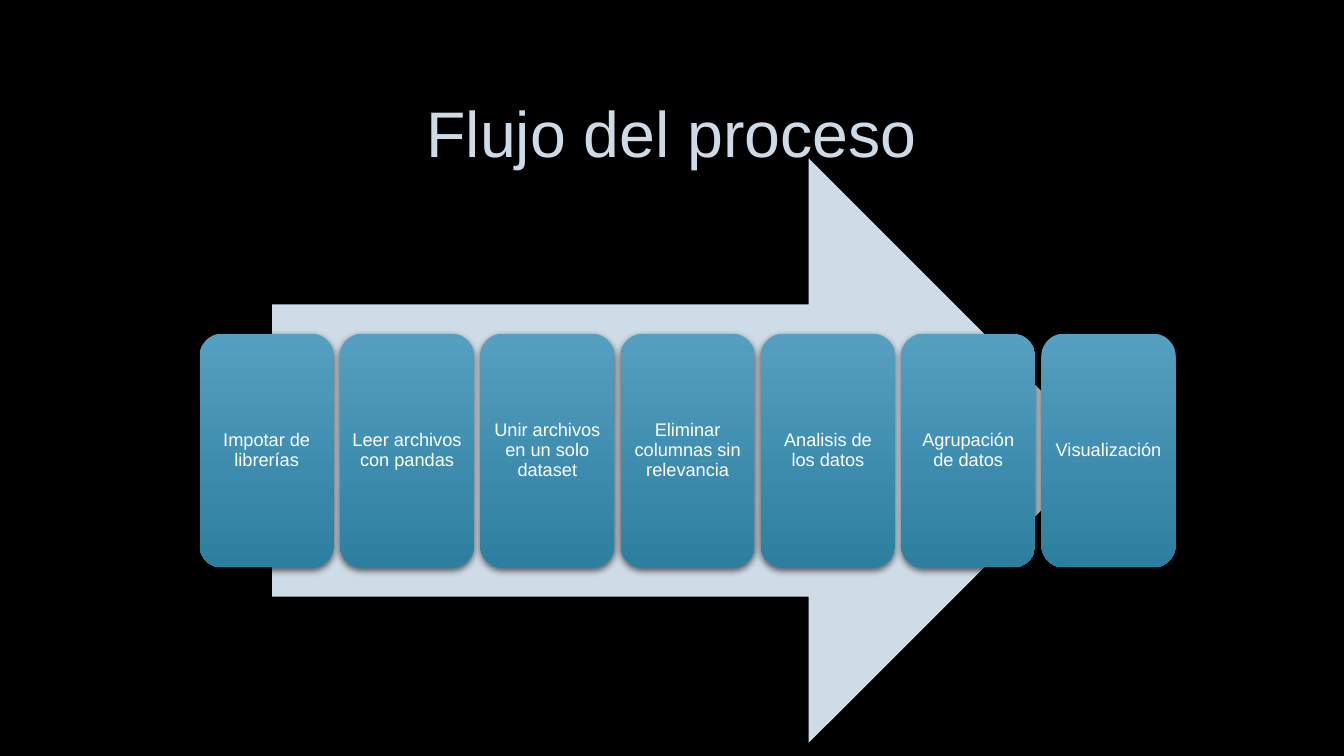
from lxml import etree
from pptx import Presentation
from pptx.dml.color import RGBColor
from pptx.enum import shapes, text
from pptx.oxml import ns
from pptx.util import Inches, Pt


def color(value):
    return RGBColor.from_string(value)


def write_text(shape, wording, margin, font_values):
    frame = shape.text_frame
    frame_values = {"word_wrap": True, "vertical_anchor": text.MSO_ANCHOR.MIDDLE}
    for side in ("left", "top", "right", "bottom"):
        frame_values[f"margin_{side}"] = Inches(margin)
    for name, value in frame_values.items():
        setattr(frame, name, value)
    paragraph = frame.paragraphs[0]
    paragraph.text = wording
    paragraph.alignment = text.PP_ALIGN.CENTER
    paragraph.line_spacing = 0.9
    paragraph.font.color.rgb = color(font_values["color"])
    for name in ("name", "size"):
        setattr(paragraph.font, name, font_values[name])


presentation = Presentation()
presentation.slide_width = Inches(13.33)
presentation.slide_height = Inches(7.5)
slide = presentation.slides.add_slide(presentation.slide_layouts[6])
slide.background.fill.solid()
slide.background.fill.fore_color.rgb = color("000000")

# Title
title = slide.shapes.add_textbox(Inches(1), Inches(0.67), Inches(11.32), Inches(1.38))
write_text(title, "Flujo del proceso", 0.05,
           {"name": "Arial", "size": Pt(46), "color": "CEDBE6"})

# Arrow behind the steps
arrow = slide.shapes.add_shape(
    shapes.MSO_SHAPE.RIGHT_ARROW, Inches(2.7), Inches(1.57), Inches(8.22), Inches(5.8))
arrow.fill.solid()
arrow.fill.fore_color.rgb = color("CEDCE7")

# Process steps, evenly spaced
steps = [
    "Impotar de librerías",
    "Leer archivos con pandas",
    "Unir archivos en un solo dataset",
    "Eliminar columnas sin relevancia",
    "Analisis de los datos",
    "Agrupación de datos",
    "Visualización",
]
first_left, last_left = 1.98, 10.33
pitch = (last_left - first_left) / (len(steps) - 1)
cards = []
for index, step in enumerate(steps):
    card = slide.shapes.add_shape(
        shapes.MSO_SHAPE.ROUNDED_RECTANGLE,
        Inches(first_left + index * pitch), Inches(3.31), Inches(1.33), Inches(2.32))
    card.fill.gradient()
    card.fill.gradient_angle = 270
    for stop, shade in zip(card.fill.gradient_stops, ("559FC0", "2D7FA0")):
        stop.color.rgb = color(shade)
    write_text(card, step, 0.05, {"name": "Arial", "size": Pt(13), "color": "FFFFFF"})
    cards.append(card)

# Soft shadow below the arrow and the steps
for shape in [arrow, *cards]:
    shape.line.fill.background()
    shape.shadow.inherit = False
    effects = shape.element.spPr.find(ns.qn("a:effectLst"))
    shadow = etree.SubElement(
        effects, ns.qn("a:outerShdw"), blurRad=str(Pt(5)), dist=str(Pt(2)),
        dir="5400000", algn="ctr", rotWithShape="0")
    shade = etree.SubElement(shadow, ns.qn("a:srgbClr"), val="000000")
    etree.SubElement(shade, ns.qn("a:alpha"), val="60000")

presentation.save("out.pptx")
